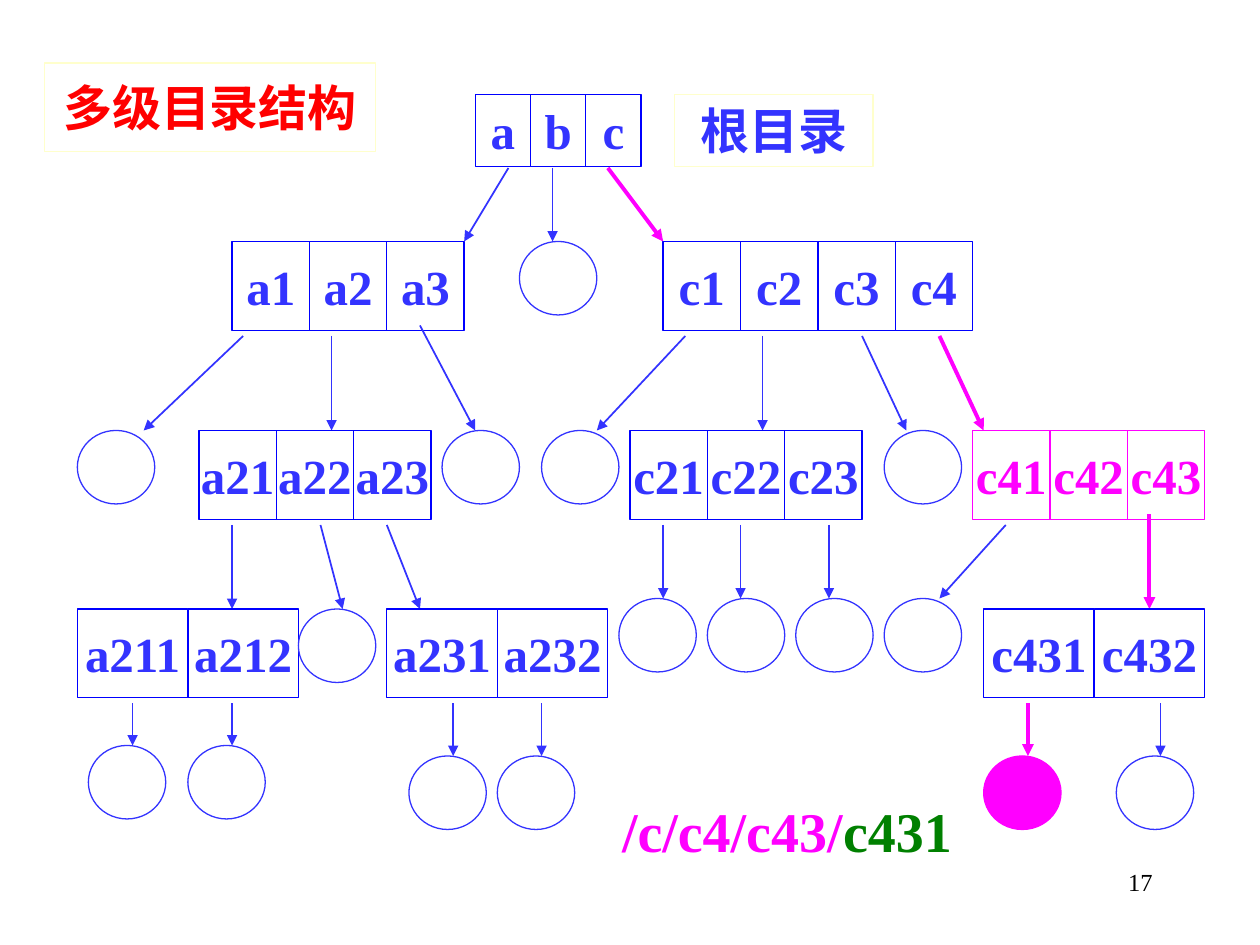
from pptx import Presentation
from pptx.dml.color import RGBColor
from pptx.enum.shapes import MSO_CONNECTOR, MSO_SHAPE
from pptx.enum.text import MSO_ANCHOR, MSO_AUTO_SIZE, PP_ALIGN
from pptx.oxml.ns import qn
from pptx.util import Cm, Pt
from lxml.etree import SubElement

HUE = {"blue": "3333FF", "edge": "0000FF", "pink": "FF00FF", "red": "FF0000",
       "green": "008000", "cream": "FFFFCC", "white": "FFFFFF", "black": "000000"}
FONT = "Times New Roman"
# The slide is ruled into 114 columns and 90 rows
WIDE, HIGH = 25.4, 19.05
COL, ROW = WIDE / 114, HIGH / 90
TALL, LOW = 1.79, 1.45
DISC = 7  # columns and rows of a file circle
SNUG, ROOMY = (0, 0.3), (0.25, 0.13)

# Each level: top row, then parts in columns and in rows below that top
LEVELS = [
    {"top": 9, "high": LOW, "pad": ROOMY,
     "dirs": [(43, 5, "a b c", "blue", "edge")],
     "files": [],
     "links": [(50, 7, 50, 14, "blue"), (55, 7, 60, 14, "pink"), (46, 7, 42, 14, "blue")]},
    {"top": 23,
     "dirs": [(21, 7, "a1 a2 a3", "blue", "edge"), (60, 7, "c1 c2 c3 c4", "blue", "edge")],
     "files": [(47, 0, "white")],
     "links": [(30, 9, 30, 18, "blue"), (22, 9, 13, 18, "blue"), (38, 8, 43, 18, "blue"),
               (62, 9, 54, 18, "blue"), (69, 9, 69, 18, "blue"), (78, 9, 82, 18, "blue"),
               (85, 9, 89, 18, "pink")]},
    {"top": 41,
     "dirs": [(18, 7, "a21 a22 a23", "blue", "edge"), (57, 7, "c21 c22 c23", "blue", "edge"),
              (88, 7, "c41 c42 c43", "pink", "pink")],
     "files": [(x, 0, "white") for x in (7, 40, 49, 80)],
     "links": [(21, 9, 21, 17, "blue"), (29, 9, 31, 17, "blue"), (35, 9, 38, 17, "blue"),
               (60, 9, 60, 16, "blue"), (67, 9, 67, 16, "blue"), (75, 9, 75, 16, "blue"),
               (91, 9, 85, 16, "blue"), (104, 8, 104, 17, "pink")]},
    {"top": 58,
     "dirs": [(7, 10, "a211 a212", "blue", "edge"), (35, 10, "a231 a232", "blue", "edge"),
              (89, 10, "c431 c432", "blue", "edge")],
     "files": [(27, 0, "white")] + [(x, -1, "white") for x in (56, 64, 72, 80)],
     "links": [(12, 9, 12, 13, "blue"), (21, 9, 21, 13, "blue"), (41, 9, 41, 14, "blue"),
               (49, 9, 49, 14, "blue"), (93, 9, 93, 14, "pink"), (105, 9, 105, 14, "blue")]},
    {"top": 71, "dirs": [],
     "files": [(8, 0, "white"), (17, 0, "white"), (37, 1, "white"), (45, 1, "white"),
               (89, 1, "pink"), (101, 1, "white")],
     "links": []},
]


def rgb(name):
    return RGBColor.from_string(HUE[name])


def place(shape, box):
    shape.left, shape.top, shape.width, shape.height = map(Cm, box)


def write(shape, runs, size=28, bold=True, align=PP_ALIGN.CENTER, pad=SNUG):
    """Put (text, colour) runs in one paragraph at the top of the shape."""
    frame = shape.text_frame
    frame.word_wrap = True
    frame.auto_size = MSO_AUTO_SIZE.NONE
    frame.vertical_anchor = MSO_ANCHOR.TOP
    frame.margin_left = frame.margin_right = Cm(pad[0])
    frame.margin_top = frame.margin_bottom = Cm(pad[1])
    par = frame.paragraphs[0]
    par.alignment = align
    font = par.font
    font.name, font.size, font.bold = FONT, Pt(size), bold
    for text, hue in runs:
        run = par.add_run()
        run.text = text
        run.font.color.rgb = rgb(hue)


def border(shape, hue):
    shape.line.color.rgb = rgb(hue)
    shape.line.width = Pt(0.75)


def draw(slide, kind, box, fill, line):
    shape = slide.shapes.add_shape(kind, *map(Cm, box))
    shape.shadow.inherit = False
    if fill:
        shape.fill.solid()
        shape.fill.fore_color.rgb = rgb(fill)
    else:
        shape.fill.background()
    border(shape, line)
    return shape


def folder(slide, box, names, hue, edge, pad):
    """Split the box into one equal cell for each name."""
    left, top, wide, high = box
    step = wide / len(names)
    for i, name in enumerate(names):
        cell = draw(slide, MSO_SHAPE.RECTANGLE, (left + i * step, top, step, high),
                    "white", edge)
        write(cell, [(name, hue)], pad=pad)


def arrow(slide, ends, hue):
    link = slide.shapes.add_connector(MSO_CONNECTOR.STRAIGHT, *map(Cm, ends))
    link.line.color.rgb = rgb(hue)
    link.line.width = Pt(2.25 if hue == "pink" else 1)
    SubElement(link.line._get_or_add_ln(), qn("a:tailEnd"), type="triangle")
    SubElement(link._element.spPr, qn("a:effectLst"))


def level(slide, left, top, data):
    """Draw one depth of the tree and the arrows that leave it."""
    def spot(x, y):
        return left + x * COL, top + y * ROW

    for x, span, names, hue, edge in data["dirs"]:
        names = names.split()
        box = (*spot(x, 0), len(names) * span * COL, data.get("high", TALL))
        folder(slide, box, names, hue, edge, data.get("pad", SNUG))
    for x, y, fill in data["files"]:
        draw(slide, MSO_SHAPE.OVAL, (*spot(x, y), DISC * COL, DISC * ROW),
             fill, "pink" if fill == "pink" else "blue")
    for x, y, endx, endy, hue in data["links"]:
        arrow(slide, (*spot(x, y), *spot(endx, endy)), hue)


def heading(slide, box):
    title = slide.shapes.title
    place(title, box)
    border(title, "cream")
    write(title, [("多级目录结构", "red")])


def label(slide, box):
    tag = draw(slide, MSO_SHAPE.RECTANGLE, box, None, "cream")
    write(tag, [("根目录", "blue")], pad=ROOMY)


def note(slide, box, runs, **style):
    write(slide.shapes.add_textbox(*map(Cm, box)), runs, pad=ROOMY, **style)


def main():
    deck = Presentation()
    deck.slide_width, deck.slide_height = Cm(WIDE), Cm(HIGH)
    slide = deck.slides.add_slide(deck.slide_layouts[5])
    heading(slide, (4 * COL, 6 * ROW, 30 * COL, TALL))
    label(slide, (61 * COL, 9 * ROW, 18 * COL, LOW))
    for data in LEVELS:
        level(slide, 0, data["top"] * ROW, data)
    note(slide, (12.29, 15.93, 7.39, 1.63),
         [("/c/c4/c43/", "pink"), ("c431", "green")], size=32, align=PP_ALIGN.LEFT)
    note(slide, (18.21, 17.35, 5.28, 1.27), [("17", "black")],
         size=14, bold=False, align=PP_ALIGN.RIGHT)
    deck.save("out.pptx")


if __name__ == "__main__":
    main()
